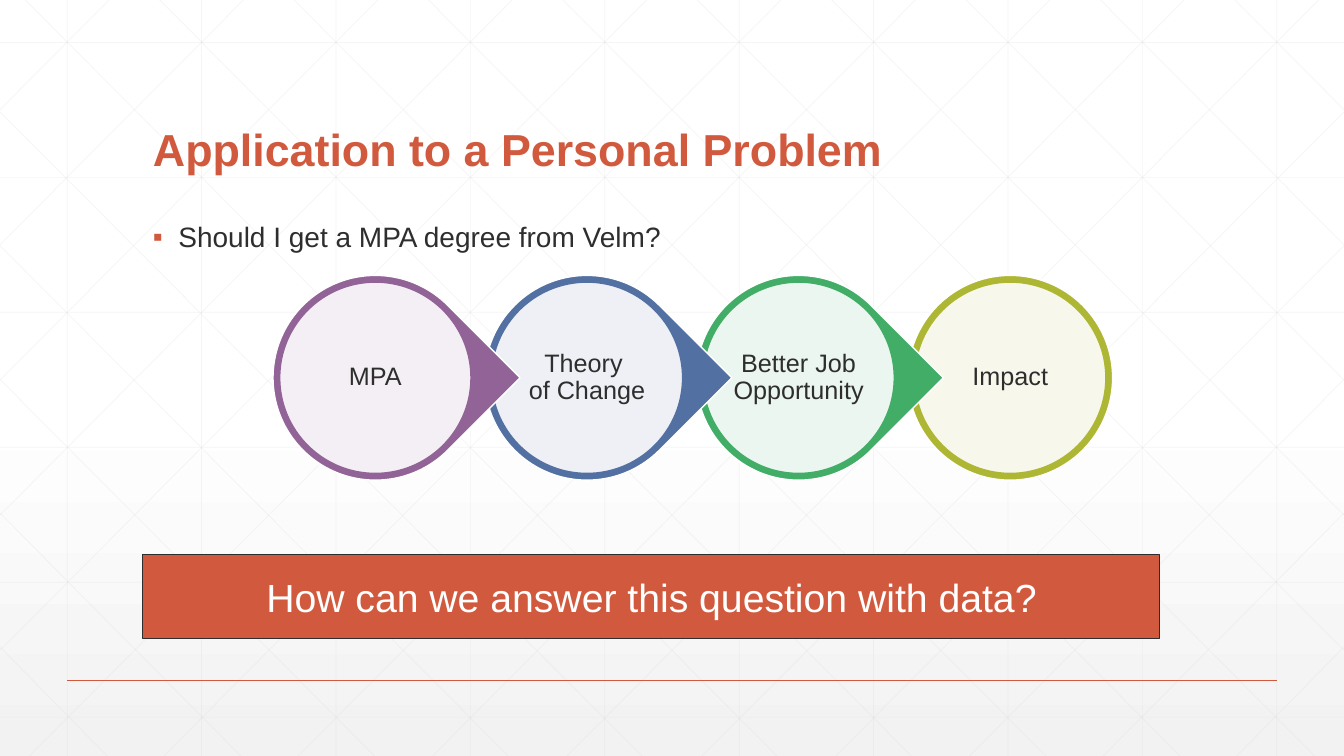
import pptx
import pptx.dml.color
import pptx.enum.shapes
import pptx.enum.text
import pptx.oxml
import pptx.oxml.ns
import pptx.util

Cm = pptx.util.Cm
RGBColor = pptx.dml.color.RGBColor
MSO_SHAPE = pptx.enum.shapes.MSO_SHAPE
ALIGN = pptx.enum.text.PP_ALIGN
ANCHOR = pptx.enum.text.MSO_ANCHOR
qn = pptx.oxml.ns.qn

ORANGE = RGBColor(0xD1, 0x5A, 0x3E)
INK = RGBColor(0x2D, 0x2E, 0x2D)
WHITE = RGBColor(0xFF, 0xFF, 0xFF)
GRID_GREY = RGBColor(0xD9, 0xD9, 0xD9)
PURPLE = RGBColor(0x92, 0x63, 0x97)
BLUE = RGBColor(0x52, 0x70, 0xA2)
GREEN = RGBColor(0x42, 0xAD, 0x67)
OLIVE = RGBColor(0xAE, 0xB7, 0x33)

SLIDE_W, SLIDE_H = 33.87, 19.05  # all lengths in centimetres
STEPS = [("MPA", PURPLE), ("Theory \vof Change", BLUE),
         ("Better Job\vOpportunity", GREEN), ("Impact", OLIVE)]


def xml(tag, attributes="", inner=""):
    namespace = pptx.oxml.ns.nsdecls("a")
    return pptx.oxml.parse_xml(f"<a:{tag} {namespace} {attributes}>{inner}</a:{tag}>")


def set_alpha(fill_parent, percent):
    color = fill_parent.find(qn("a:solidFill"))[0]
    color.append(xml("alpha", f'val="{percent * 1000}"'))


def write(shape, text, size, color, bold=False, align=ALIGN.LEFT,
          anchor=ANCHOR.TOP, spacing=None, margin=None):
    frame = shape.text_frame
    frame.word_wrap = True
    frame.auto_size = pptx.enum.text.MSO_AUTO_SIZE.NONE
    frame.vertical_anchor = anchor
    if margin is not None:
        frame.margin_left = frame.margin_right = Cm(margin)
        frame.margin_top = frame.margin_bottom = Cm(margin)
    paragraph = frame.paragraphs[0]
    paragraph.text = text
    paragraph.alignment = align
    paragraph.line_spacing = spacing
    for run in paragraph.runs:
        run.font.name = "Arial"
        run.font.size = pptx.util.Pt(size)
        run.font.bold = bold
        run.font.color.rgb = color
    return paragraph


def draw_line(slide, start, end, color, width, alpha=100):
    line = slide.shapes.add_connector(
        pptx.enum.shapes.MSO_CONNECTOR.STRAIGHT, *map(Cm, start + end))
    line.line.color.rgb = color
    line.line.width = pptx.util.Pt(width)
    properties = line._element.spPr
    if alpha < 100:
        set_alpha(properties.find(qn("a:ln")), alpha)
    properties.append(xml("effectLst"))


def draw_shape(slide, kind, box, fill, outline, width, alpha=100):
    shape = slide.shapes.add_shape(kind, *map(Cm, box))
    shape.shadow.inherit = False
    shape.fill.solid()
    shape.fill.fore_color.rgb = fill
    if alpha < 100:
        set_alpha(shape._element.spPr, alpha)
    shape.line.color.rgb = outline
    shape.line.width = pptx.util.Pt(width)
    return shape


def place(slide, placeholder, box):
    """Position a placeholder and bring it in front of the backdrop."""
    placeholder.left, placeholder.top, placeholder.width, placeholder.height = map(Cm, box)
    slide.shapes._spTree.append(placeholder._element)


def add_backdrop(slide, box):
    left, top, width, height = box
    right, bottom = left + width, top + height

    # White to pale grey gradient
    fill = slide.background.fill
    fill.gradient()
    gradient = slide.background._cSld.bg.bgPr.find(qn("a:gradFill"))
    stops = "".join(
        f'<a:gs pos="{position}000"><a:srgbClr val="{color}">{alpha}</a:srgbClr></a:gs>'
        for position, color, alpha in [(0, "FFFFFF", ""), (53, "FFFFFF", ""),
                                       (100, "F2F2F2", '<a:alpha val="65000"/>')])
    gradient.getparent().replace(gradient, xml(
        "gradFill", 'rotWithShape="1"',
        f'<a:gsLst>{stops}</a:gsLst><a:lin ang="5400000" scaled="0"/>'))

    # Upright and level grid lines
    step = width / 10
    grid = []
    for i in range(10):
        x = left + (i + 0.5) * step
        grid.append(((x, top), (x, bottom)))
    for i in range(6):
        y = top + 1.07 + i * 3.4
        grid.append(((left, y), (right, y)))

    # Diagonals from the top edge, then from the left edge
    run = 18.94
    diagonals = []
    for i in range(10):
        x = left + 0.64 + i * step
        reach = min(run, right - x)
        diagonals.append(((x, top), (x + reach, top + reach * height / run)))
    for i in range(5):
        shift = i * 3.37
        diagonals.append(((left, top + 2.82 + shift), (left + 16.18 - shift, bottom)))
    mirrored = [tuple((left + right - x, y) for x, y in ends) for ends in diagonals]

    for start, end in grid + diagonals + mirrored:
        draw_line(slide, start, end, GRID_GREY, 0.5, alpha=25)

    # Footer rule
    rule_y = top + 17.14
    draw_line(slide, (left + step / 2, rule_y), (right - step / 2, rule_y), ORANGE, 1)


def add_process(slide, box):
    left, top, width, diameter = box
    pitch = (width - diameter) / (len(STEPS) - 1)
    # Last step first, so that each pointer overlaps the next circle
    for i, (label, color) in reversed(list(enumerate(STEPS))):
        def inset(gap):
            side = diameter - 2 * gap
            return left + i * pitch + gap, top + gap, side, side

        is_last = i == len(STEPS) - 1
        kind = MSO_SHAPE.OVAL if is_last else MSO_SHAPE.TEAR
        pointer = draw_shape(slide, kind, inset(0), color, WHITE, 1)
        if not is_last:
            pointer.rotation = 45
        draw_shape(slide, MSO_SHAPE.OVAL, inset(0.17), WHITE, color, 1, alpha=90)
        caption = slide.shapes.add_textbox(*map(Cm, inset(0.86)))
        write(caption, label, 18, INK, align=ALIGN.CENTER,
              anchor=ANCHOR.MIDDLE, spacing=0.9, margin=0.07)


def add_heading(slide, box):
    title = slide.shapes.title
    place(slide, title, box)
    write(title, "Application to a Personal Problem", 32, ORANGE, bold=True,
          anchor=ANCHOR.BOTTOM, spacing=0.9)


def add_question(slide, box):
    question = slide.placeholders[1]
    place(slide, question, box)
    paragraph = write(question, "Should I get a MPA degree from Velm?", 20, INK, spacing=0.9)
    paragraph.space_before = pptx.util.Pt(18)
    properties = paragraph._p.get_or_add_pPr()
    properties.set("marL", str(Cm(0.64)))
    properties.set("indent", str(-Cm(0.64)))
    properties.append(xml("buClr", inner=f'<a:srgbClr val="{ORANGE}"/>'))
    properties.append(xml("buFont", 'typeface="Arial"'))
    properties.append(xml("buChar", 'char="▪"'))


def add_banner(slide, box):
    banner = draw_shape(slide, MSO_SHAPE.RECTANGLE, box, ORANGE, INK, 0.75)
    write(banner, "How can we answer this question with data?", 28, WHITE,
          align=ALIGN.CENTER, anchor=ANCHOR.MIDDLE)


def main():
    deck = pptx.Presentation()
    deck.slide_width, deck.slide_height = Cm(SLIDE_W), Cm(SLIDE_H)
    slide = deck.slides.add_slide(deck.slide_layouts[1])
    add_backdrop(slide, (0, 0, SLIDE_W, SLIDE_H))
    add_process(slide, (6.88, 6.94, 21.16, 5.16))
    add_heading(slide, (3.6, 1.4, 26.67, 3.18))
    add_question(slide, (3.6, 5.51, 26.67, 1.27))
    add_banner(slide, (3.6, 13.98, 25.63, 2.11))
    deck.save("out.pptx")


if __name__ == "__main__":
    main()
